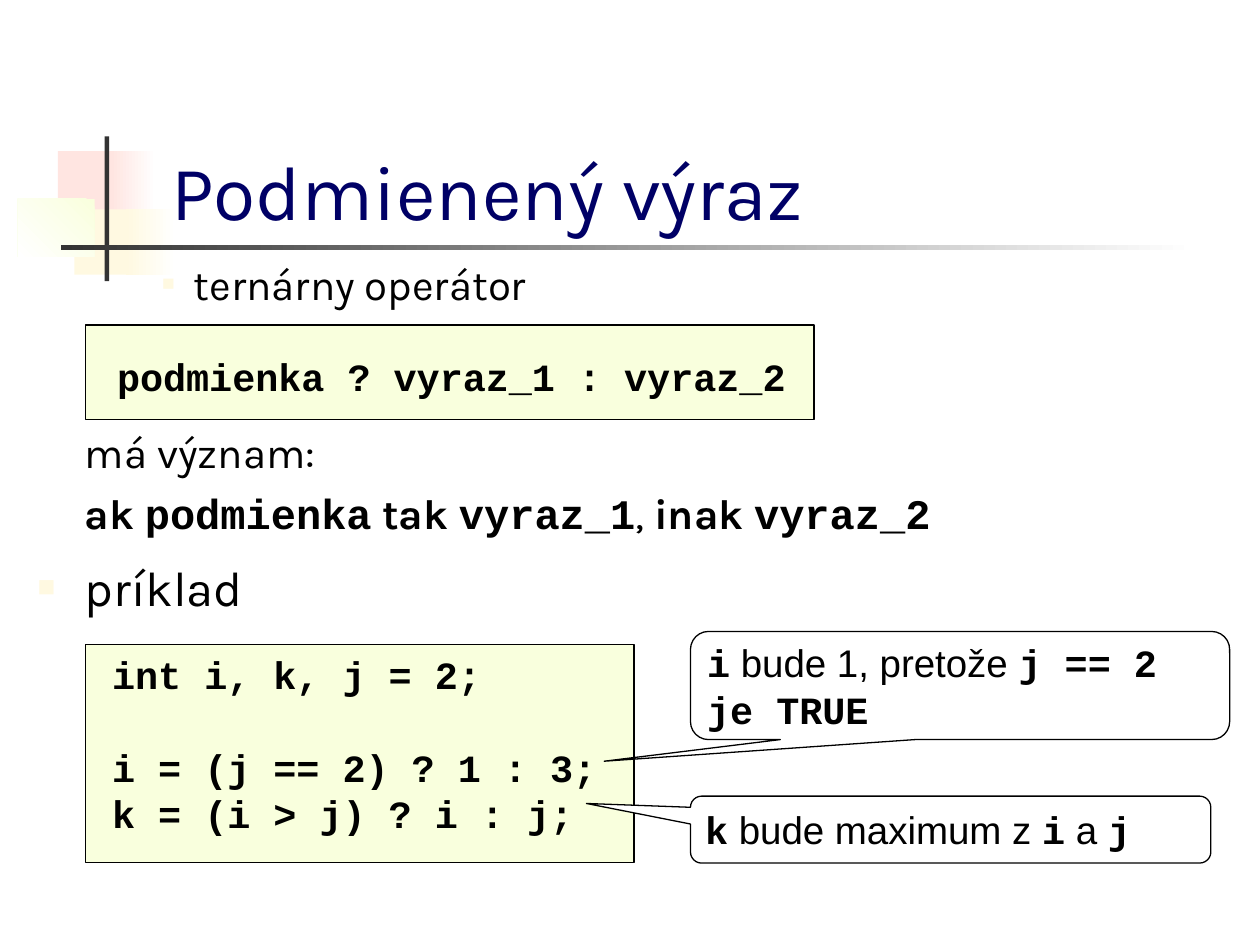
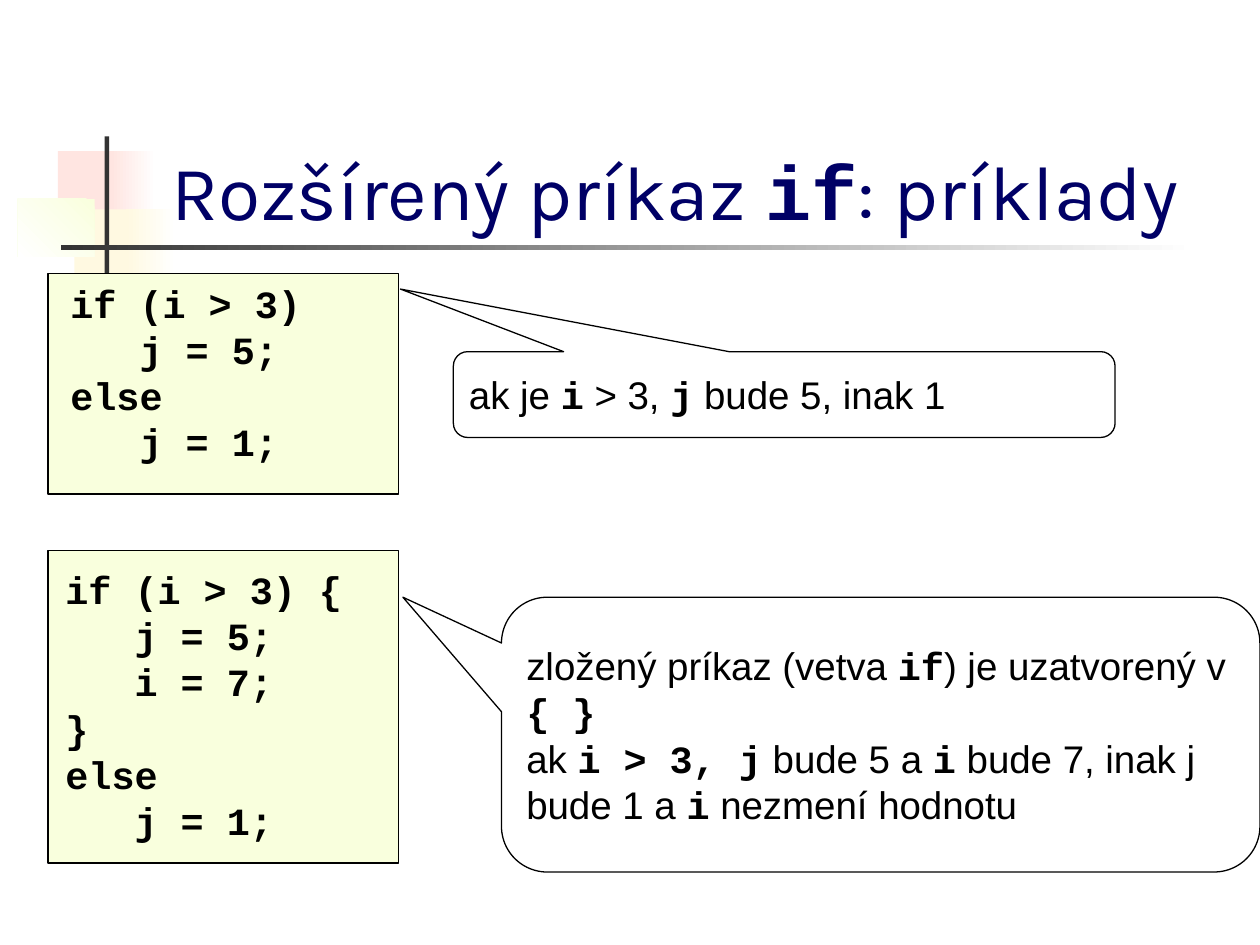
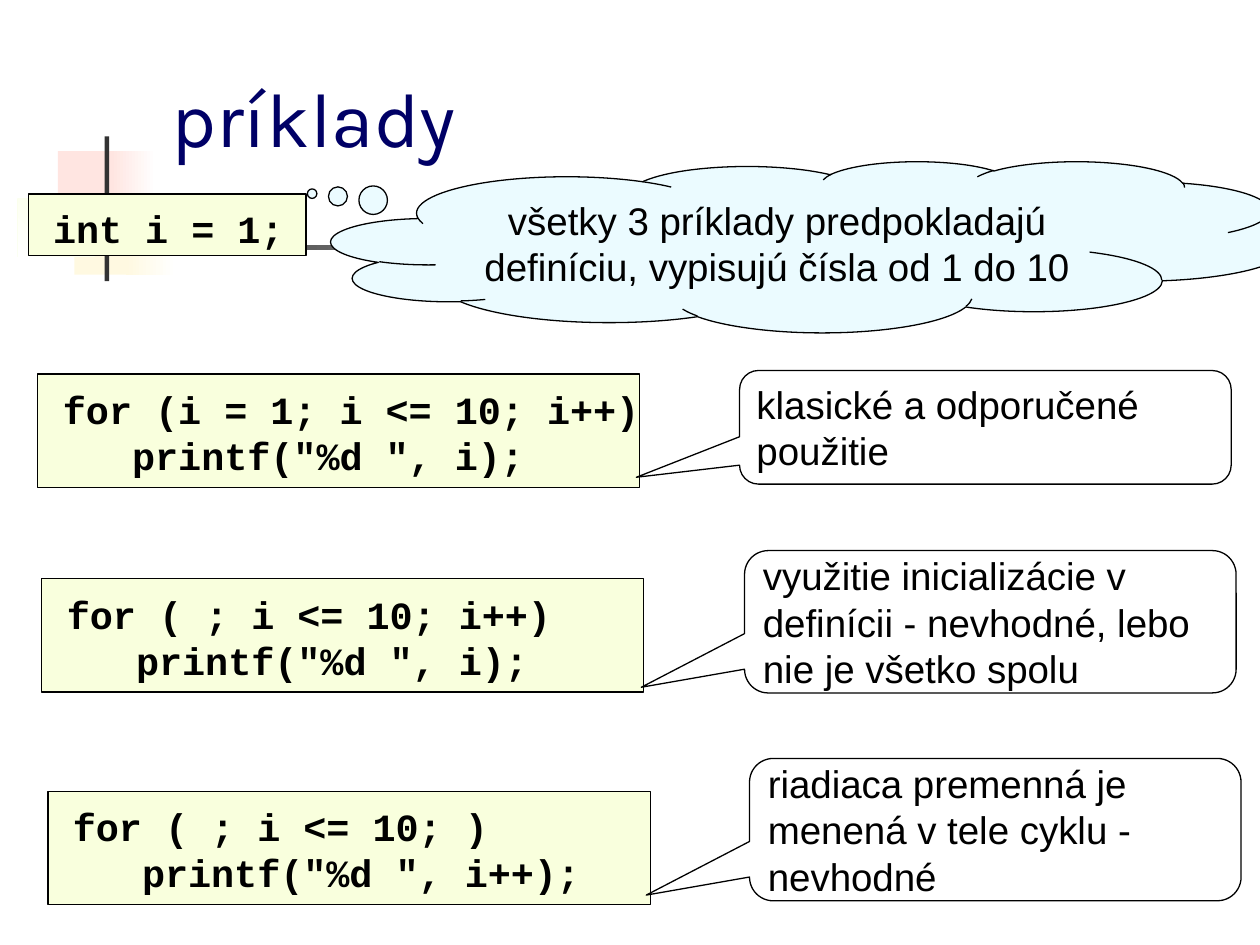
from dataclasses import dataclass
from typing import NamedTuple

import pptx
import pptx.dml.color
import pptx.enum.shapes
import pptx.enum.text
import pptx.oxml.ns
import pptx.util
from lxml import etree

Cm, Pt = pptx.util.Cm, pptx.util.Pt
FORM = pptx.enum.shapes.MSO_SHAPE
ANCHOR = pptx.enum.text.MSO_ANCHOR
ALIGN = pptx.enum.text.PP_ALIGN
FIT = pptx.enum.text.MSO_AUTO_SIZE
qn = pptx.oxml.ns.qn

COLORS = {
    "white": "FFFFFF", "black": "000000", "navy": "000066", "gray": "333333",
    "pink": "FFE5E1", "cream": "FFF9E1", "lime": "F9FFDD", "sky": "EBFBFF",
}


class Face(NamedTuple):
    font: str
    bold: bool = False


FACES = {
    "mono": Face("Courier New", True),
    "sans": Face("Arial"),
    "body": Face("Karla"),
    "strong": Face("Karla", True),
}


class Place(NamedTuple):
    """Left, top, width and height in centimetres."""
    left: float
    top: float
    width: float
    height: float


class Bit(NamedTuple):
    text: str
    face: str


@dataclass
class Patch:
    place: Place
    color: str
    end: str = ""
    angle: int = 180


@dataclass
class Code:
    box: Place
    area: Place
    text: str
    wrap: bool = False


@dataclass
class Note:
    place: Place
    tip: tuple[float, float]
    lines: list[str]
    form: FORM = FORM.ROUNDED_RECTANGULAR_CALLOUT
    fill: str = "white"
    align: ALIGN = ALIGN.LEFT


HEAD = Place(3.2, 1.7, 21.64, 3.18)
DECOR = [
    Patch(Place(1.17, 3.05, 1.22, 1.32), "pink"),
    Patch(Place(2.24, 3.05, 0.91, 1.32), "white", "pink"),
    Patch(Place(1.5, 4.22, 1.17, 1.32), "cream"),
    Patch(Place(2.54, 4.22, 1.02, 1.32), "white", "cream"),
    Patch(Place(0.36, 4.01, 1.55, 1.17), "lime", "white", 225),
    Patch(Place(2.11, 2.75, 0.09, 2.92), "gray"),
    Patch(Place(1.23, 4.94, 22.86, 0.1), "white", "gray"),
]


# Text helpers
def rgb(name: str) -> pptx.dml.color.RGBColor:
    return pptx.dml.color.RGBColor.from_string(COLORS[name])


def split(line: str, base: str) -> list[Bit]:
    """Backticks switch between the base face and the code face."""
    parts = enumerate(line.split("`"))
    return [Bit(part, "mono" if i % 2 else base) for i, part in parts if part]


def write(frame, lines: list[list[Bit]], size: int, color: str = "black",
          align: ALIGN = ALIGN.LEFT) -> None:
    frame.text = "\n".join(line[0].text if line else "" for line in lines)
    for para, line in zip(frame.paragraphs, lines):
        para.alignment = align
        for bit in line[1:]:
            para.add_run().text = bit.text
        for run, bit in zip(para.runs, line):
            face = FACES[bit.face]
            run.font.name, run.font.bold = face
            run.font.size = Pt(size)
            run.font.color.rgb = rgb(color)
        if not line:
            etree.SubElement(para._p, qn("a:endParaRPr"), sz=str(size * 100))


def inset(frame, side: float) -> None:
    frame.margin_left = frame.margin_right = Cm(side)
    frame.margin_top = frame.margin_bottom = Cm(0.13)


def indent(para, left: float, first: float = 0) -> None:
    props = para._p.get_or_add_pPr()
    props.set("marL", str(Cm(left)))
    props.set("indent", str(Cm(first)))


def bullet(para, percent: int) -> None:
    props = para._p.get_or_add_pPr()
    tint = etree.SubElement(props, qn("a:buClr"))
    etree.SubElement(tint, qn("a:srgbClr"), val=COLORS["cream"])
    etree.SubElement(props, qn("a:buSzPct"), val=str(percent * 1000))
    etree.SubElement(props, qn("a:buFont"), typeface="Arial")
    etree.SubElement(props, qn("a:buChar"), char="■")


# Shape helpers
def move(shape, place: Place) -> None:
    shape.left, shape.top, shape.width, shape.height = map(Cm, place)


def shape_at(slide, form: FORM, place: Place, fill: str, edge: bool = True):
    shape = slide.shapes.add_shape(form, *map(Cm, place))
    shape.shadow.inherit = False
    shape.fill.solid()
    shape.fill.fore_color.rgb = rgb(fill)
    if edge:
        shape.line.color.rgb = rgb("black")
        shape.line.width = Pt(0.75)
    else:
        shape.line.fill.background()
    return shape


def text_at(slide, place: Place, lines: list[list[Bit]], size: int,
            side: float = 0.25, wrap: bool = True):
    frame = slide.shapes.add_textbox(*map(Cm, place)).text_frame
    frame.word_wrap = wrap
    inset(frame, side)
    write(frame, lines, size)
    return frame


def add_code(slide, code: Code) -> None:
    shape_at(slide, FORM.RECTANGLE, code.box, "lime")
    lines = [split(line, "mono") for line in code.text.split("\n")]
    frame = text_at(slide, code.area, lines, 22, 0.23, code.wrap)
    frame.auto_size = FIT.SHAPE_TO_FIT_TEXT


def add_note(slide, note: Note) -> None:
    shape = shape_at(slide, note.form, note.place, note.fill)
    shape.adjustments[0], shape.adjustments[1] = note.tip
    frame = shape.text_frame
    frame.word_wrap = True
    frame.vertical_anchor = ANCHOR.MIDDLE
    inset(frame, 0.23)
    write(frame, [split(line, "sans") for line in note.lines], 22, align=note.align)


def add_slide(deck, layout: int, title: str, place: Place = HEAD):
    slide = deck.slides.add_slide(deck.slide_layouts[layout])
    head = slide.shapes.title
    move(head, place)
    frame = head.text_frame
    frame.auto_size = FIT.NONE
    frame.vertical_anchor = ANCHOR.BOTTOM
    inset(frame, 0.25)
    write(frame, [split(title, "body")], 44, "navy")
    return slide


def add_decor(deck, slide) -> None:
    """Draw the corner pattern and hand it over to the slide master."""
    tree = deck.slide_master.shapes.element
    for i, patch in enumerate(DECOR):
        shape = shape_at(slide, FORM.RECTANGLE, patch.place, patch.color, False)
        if patch.end:
            shape.fill.gradient()
            shape.fill.gradient_angle = patch.angle
            for stop, name in zip(shape.fill.gradient_stops, (patch.color, patch.end)):
                stop.color.rgb = rgb(name)
        shape.element.nvSpPr.cNvPr.id = 20 + i
        tree.insert(2 + i, shape.element)


# Slides
def ternary(deck) -> None:
    slide = add_slide(deck, 1, "Podmienený výraz")
    add_decor(deck, slide)

    body = slide.placeholders[1]
    move(body, Place(0.48, 5.08, 24.41, 1.47))
    frame = body.text_frame
    frame.auto_size = FIT.NONE
    inset(frame, 0.25)
    write(frame, [split("ternárny operátor", "body")], 24)
    point = frame.paragraphs[0]
    point.level = 1
    point.space_before = Pt(0)
    indent(point, 3.18, -0.64)
    bullet(point, 50)

    sense = text_at(slide, Place(0.51, 8.46, 24.41, 2.74), [
        [Bit("má význam:", "body")],
        [Bit("ak ", "strong"), Bit("podmienka", "mono"), Bit(" tak ", "strong"),
         Bit("vyraz_1", "mono"), Bit(", ", "body"), Bit("inak ", "strong"),
         Bit("vyraz_2", "mono")],
    ], 24)
    for para in sense.paragraphs:
        indent(para, 0.95)
    sense.paragraphs[1].space_before = Pt(6)

    add_code(slide, Code(Place(1.73, 6.55, 14.68, 1.91), Place(2.13, 6.99, 14.81, 1.17),
                         "podmienka ? vyraz_1 : vyraz_2", True))
    add_code(slide, Code(Place(1.73, 13, 11.05, 4.39), Place(2.03, 13, 10.4, 3.96),
                         "int i, k, j = 2;\n\ni = (j == 2) ? 1 : 3;\nk = (i > j) ? i : j;",
                         True))

    sample = text_at(slide, Place(0.51, 11.1, 24.41, 1.52),
                     [split("príklad", "body")], 28).paragraphs[0]
    indent(sample, 0.95, -0.95)
    bullet(sample, 60)

    add_note(slide, Note(Place(13.92, 12.73, 10.87, 2.18), (-0.66, 0.7),
                         ["`i` bude 1, pretože `j == 2`", "`je TRUE`"]))
    add_note(slide, Note(Place(13.92, 16.05, 10.49, 1.35), (-0.7, -0.39),
                         ["`k` bude maximum z `i` a `j`"]))


def branches(deck) -> None:
    slide = add_slide(deck, 5, "Rozšírený príkaz `if`: príklady")
    add_code(slide, Code(Place(0.97, 5.51, 7.06, 4.45), Place(1.19, 5.51, 6.43, 3.96),
                         "if (i > 3)\n   j = 5;\nelse\n   j = 1;", True))
    add_note(slide, Note(Place(9.14, 7.09, 13.34, 1.73), (-0.58, -1.23),
                         ["ak je `i` > 3, `j` bude 5, inak 1"]))
    add_code(slide, Code(Place(0.97, 11.1, 7.06, 6.3), Place(1.09, 11.28, 6.05, 5.82),
                         "if (i > 3) {\n   j = 5;\n   i = 7;\n}\nelse\n   j = 1;"))
    add_note(slide, Note(Place(10.11, 12.04, 15.29, 5.54), (-0.63, -0.5), [
        "zložený príkaz (vetva `if`) je uzatvorený v `{ }`",
        "ak `i > 3, j` bude 5 a `i` bude 7, inak j bude 1 a `i` nezmení hodnotu",
    ]))


def loops(deck) -> None:
    slide = add_slide(deck, 5, "príklady", Place(3.2, 1.73, 21.64, 1.68))
    codes = [
        Code(Place(0.76, 7.54, 12.14, 2.29), Place(1.04, 7.65, 12.3, 2.08),
             'for (i = 1; i <= 10; i++)\n   printf("%d ", i);', True),
        Code(Place(0.58, 3.91, 5.59, 1.24), Place(0.84, 4.01, 5.3, 1.17),
             "int i = 1;", True),
        Code(Place(0.84, 11.66, 12.14, 2.29), Place(1.12, 11.79, 10.4, 2.08),
             'for ( ; i <= 10; i++)\n   printf("%d ", i);', True),
        Code(Place(0.97, 15.95, 12.14, 2.29), Place(1.24, 16.05, 10.8, 2.08),
             'for ( ; i <= 10; )\n   printf("%d ", i++);', True),
    ]
    notes = [
        Note(Place(6.68, 3.25, 19.35, 3.45), (-0.52, -0.31),
             ["všetky 3 príklady predpokladajú definíciu, vypisujú čísla od 1 do 10"],
             FORM.CLOUD_CALLOUT, "sky", ALIGN.CENTER),
        Note(Place(14.91, 7.47, 9.91, 2.29), (-0.71, 0.44),
             ["klasické a odporučené použitie"]),
        Note(Place(15.01, 11.1, 9.91, 2.87), (-0.71, 0.46),
             ["využitie inicializácie v definícii - nevhodné, lebo nie je všetko spolu"]),
        Note(Place(15.11, 15.29, 9.91, 2.87), (-0.71, 0.46),
             ["riadiaca premenná je menená v tele cyklu - nevhodné"]),
    ]
    for code in codes:
        add_code(slide, code)
    for note in notes:
        add_note(slide, note)


def main() -> None:
    deck = pptx.Presentation()
    deck.slide_width, deck.slide_height = Cm(25.4), Cm(19.05)
    ternary(deck)
    branches(deck)
    loops(deck)
    deck.save("out.pptx")


if __name__ == "__main__":
    main()
